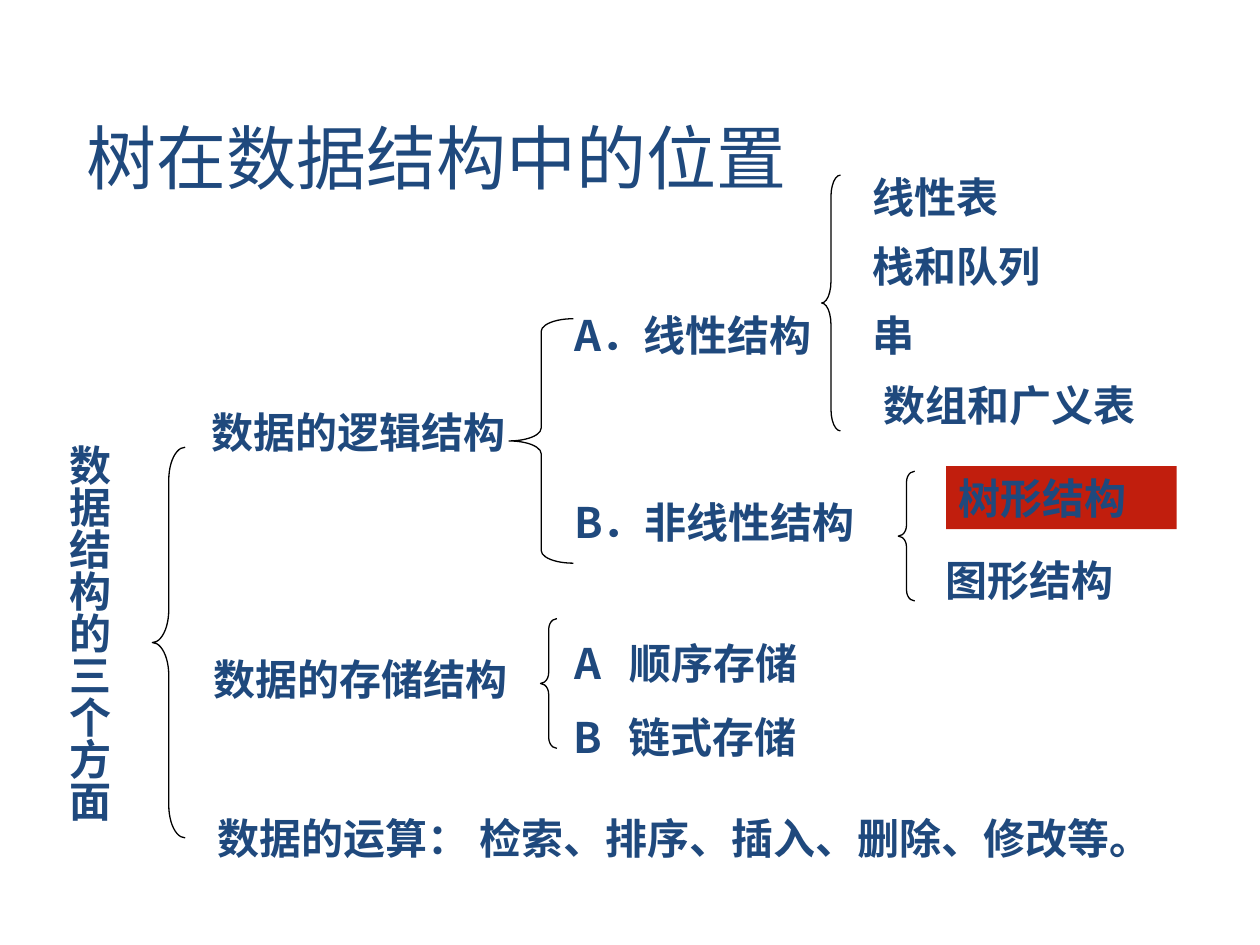
from typing import NamedTuple

from lxml import etree
from pptx import Presentation
from pptx.dml.color import RGBColor
from pptx.enum import shapes, text
from pptx.oxml import ns
from pptx.util import Inches, Pt

FONT = "Noto Sans CJK SC"
NAVY = "1F497D"
RED = "C11E0D"
BLACK = "000000"
ROW_HEIGHT = 0.5
LETTER_TAB = 0.44


class Label(NamedTuple):
    words: str
    left: float
    top: float
    width: float


class Brace(NamedTuple):
    left: float
    top: float
    width: float
    height: float
    curve: float


BRACES = [
    Brace(1.21, 3.55, 0.26, 3.1, 1.005),
    Brace(4.29, 4.91, 0.13, 1.03, 0.67),
    Brace(4.04, 2.53, 0.51, 1.94, 0.198),
    Brace(6.52, 1.39, 0.15, 2.03, 1.134),
    Brace(7.13, 3.74, 0.13, 1.03, 0.67),
]

ASPECTS = [
    Label("数据的逻辑结构", 1.58, 3.18, 3.2),
    Label("数据的存储结构", 1.6, 5.14, 2.7),
    Label("数据的运算： 检索、排序、插入、删除、修改等。", 1.63, 6.4, 7.88),
]
KINDS = [
    Label("A．线性结构", 4.46, 2.41, 2.22),
    Label("B．非线性结构", 4.46, 3.89, 2.62),
    Label("A\t顺序存储", 4.46, 5.01, 2.22),
    Label("B\t链式存储", 4.45, 5.6, 2.22),
]
LINEAR_EXAMPLES = [
    Label(words, 6.83, 1.31 + 0.55 * row, 1.78)
    for row, words in enumerate(["线性表", "栈和队列", "串"])
]
OTHER_EXAMPLES = [
    Label("数组和广义表", 6.91, 2.96, 2.52),
    Label("图形结构", 7.41, 4.35, 1.73),
]


def color(value: str) -> RGBColor:
    return RGBColor.from_string(value)


def write(shape, words: str, *, size: float = 24, bold: bool = True,
          vertical: bool = False) -> None:
    """Put one formatted paragraph in the middle of a shape."""
    frame = shape.text_frame
    frame.word_wrap = True
    frame.auto_size = text.MSO_AUTO_SIZE.NONE
    frame.vertical_anchor = text.MSO_ANCHOR.MIDDLE
    frame.margin_top = frame.margin_bottom = 0
    if vertical:
        frame.margin_left = frame.margin_right = 0
        frame._txBody.bodyPr.set("vert", "eaVert")
    paragraph = frame.paragraphs[0]
    paragraph.alignment = text.PP_ALIGN.LEFT
    if "\t" in words:
        tabs = etree.SubElement(paragraph._p.get_or_add_pPr(), ns.qn("a:tabLst"))
        etree.SubElement(tabs, ns.qn("a:tab"),
                         pos=str(Inches(LETTER_TAB)), algn="l")
    run = paragraph.add_run()
    run.text = words
    font = run.font
    font.name, font.size, font.bold = FONT, Pt(size), bold
    font.color.rgb = color(NAVY)
    etree.SubElement(font._element, ns.qn("a:ea"), typeface=FONT)


def add_label(slide, label: Label, *, height: float = ROW_HEIGHT, **style) -> None:
    box = slide.shapes.add_textbox(Inches(label.left), Inches(label.top),
                                   Inches(label.width), Inches(height))
    write(box, label.words, **style)


def add_brace(slide, brace: Brace) -> None:
    shape = slide.shapes.add_shape(
        shapes.MSO_SHAPE.LEFT_BRACE, Inches(brace.left), Inches(brace.top),
        Inches(brace.width), Inches(brace.height))
    shape.shadow.inherit = False
    shape.adjustments[0] = brace.curve
    shape.adjustments[1] = 0.5
    shape.fill.background()
    shape.line.color.rgb = color(BLACK)
    shape.line.width = Pt(0.75)


def add_highlight(slide, label: Label) -> None:
    shape = slide.shapes.add_shape(
        shapes.MSO_SHAPE.RECTANGLE, Inches(label.left), Inches(label.top),
        Inches(label.width), Inches(ROW_HEIGHT))
    shape.shadow.inherit = False
    shape.fill.solid()
    shape.fill.fore_color.rgb = color(RED)
    shape.line.fill.background()
    write(shape, label.words)


def main() -> None:
    presentation = Presentation()
    presentation.slide_width = Inches(10)
    presentation.slide_height = Inches(7.5)
    slide = presentation.slides.add_slide(presentation.slide_layouts[6])

    add_label(slide, Label("树在数据结构中的位置", 0.59, 0.86, 5.98),
              height=0.77, size=40, bold=False)
    for brace in BRACES:
        add_brace(slide, brace)
    for label in ASPECTS + KINDS + LINEAR_EXAMPLES + OTHER_EXAMPLES:
        add_label(slide, label)
    add_highlight(slide, Label("树形结构", 7.51, 3.7, 1.83))
    add_label(slide, Label("数据结构的三个方面", 0.41, 3.53, 0.6),
              height=3.32, vertical=True)
    presentation.save("out.pptx")


if __name__ == "__main__":
    main()
